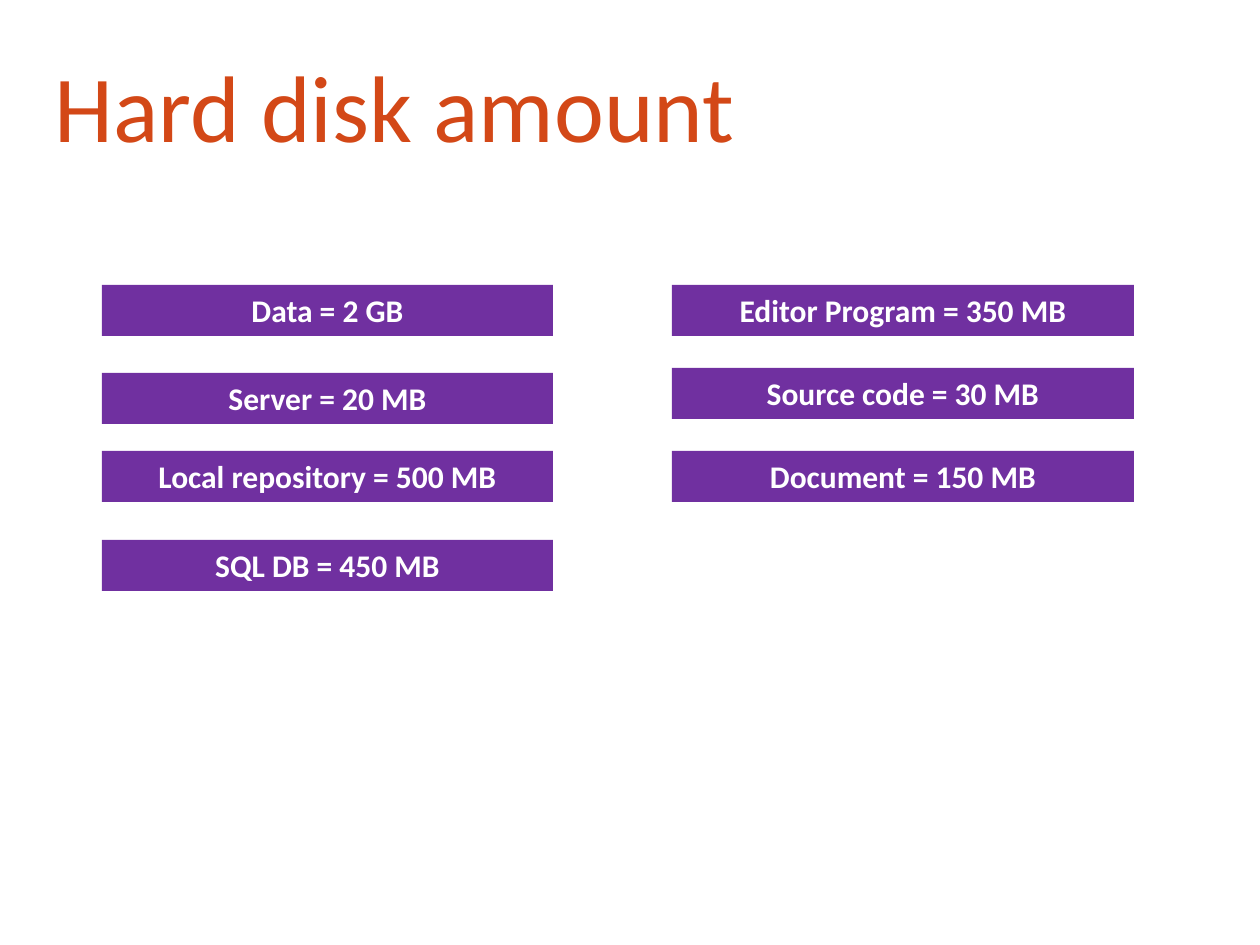
import pptx
import pptx.dml.color
import pptx.enum.shapes
import pptx.enum.text
import pptx.util

PX = 914400 // 126
FONT = "Calibri"
WHITE, PURPLE, ORANGE = "FFFFFF", "7030A0", "D34817"
BAR_HEIGHT = 51
COLUMNS = [
    (102, 451, [
        (285, "Data = 2 GB"),
        (373, "Server = 20 MB"),
        (451, "Local repository = 500 MB"),
        (540, "SQL DB = 450 MB"),
    ]),
    (672, 462, [
        (285, "Editor Program = 350 MB"),
        (368, "Source code = 30 MB"),
        (451, "Document = 150 MB"),
    ]),
]


def px(*values):
    """Turn pixel lengths into EMU."""
    return [pptx.util.Emu(v * PX) for v in values]


def color(value):
    """Turn a hex string into a colour."""
    return pptx.dml.color.RGBColor.from_string(value)


def set_text(sp, text, size, fill, bold=False):
    """Write one formatted paragraph and return it."""
    tf = sp.text_frame
    tf.word_wrap = True
    tf.text = text
    p = tf.paragraphs[0]
    font = p.runs[0].font
    font.name, font.size, font.bold = FONT, pptx.util.Pt(size), bold
    font.color.rgb = color(fill)
    return p


def add_title(slide, text):
    """Add the slide title."""
    sp = slide.shapes.add_textbox(*px(42, 53, 738, 116))
    p = set_text(sp, text, 54, ORANGE)
    p.line_spacing = 0.9
    sp.text_frame.vertical_anchor = pptx.enum.text.MSO_ANCHOR.BOTTOM


def add_bar(slide, left, top, width, text):
    """Add one purple bar naming an item and its disk amount."""
    sp = slide.shapes.add_shape(pptx.enum.shapes.MSO_SHAPE.RECTANGLE,
                                *px(left, top, width, BAR_HEIGHT))
    sp.shadow.inherit = False
    sp.fill.solid()
    sp.fill.fore_color.rgb = color(PURPLE)
    sp.line.fill.background()
    p = set_text(sp, text, 18, WHITE, bold=True)
    p.alignment = pptx.enum.text.PP_ALIGN.CENTER
    sp.text_frame.vertical_anchor = pptx.enum.text.MSO_ANCHOR.TOP
    sp.text_frame.auto_size = pptx.enum.text.MSO_AUTO_SIZE.SHAPE_TO_FIT_TEXT


def main():
    """Build and save the slide."""
    prs = pptx.Presentation()
    prs.slide_width, prs.slide_height = pptx.util.Inches(10), pptx.util.Inches(7.5)
    slide = prs.slides.add_slide(prs.slide_layouts[6])
    add_title(slide, "Hard disk amount")
    for left, width, bars in COLUMNS:
        for top, text in bars:
            add_bar(slide, left, top, width, text)
    prs.save("out.pptx")


main()
